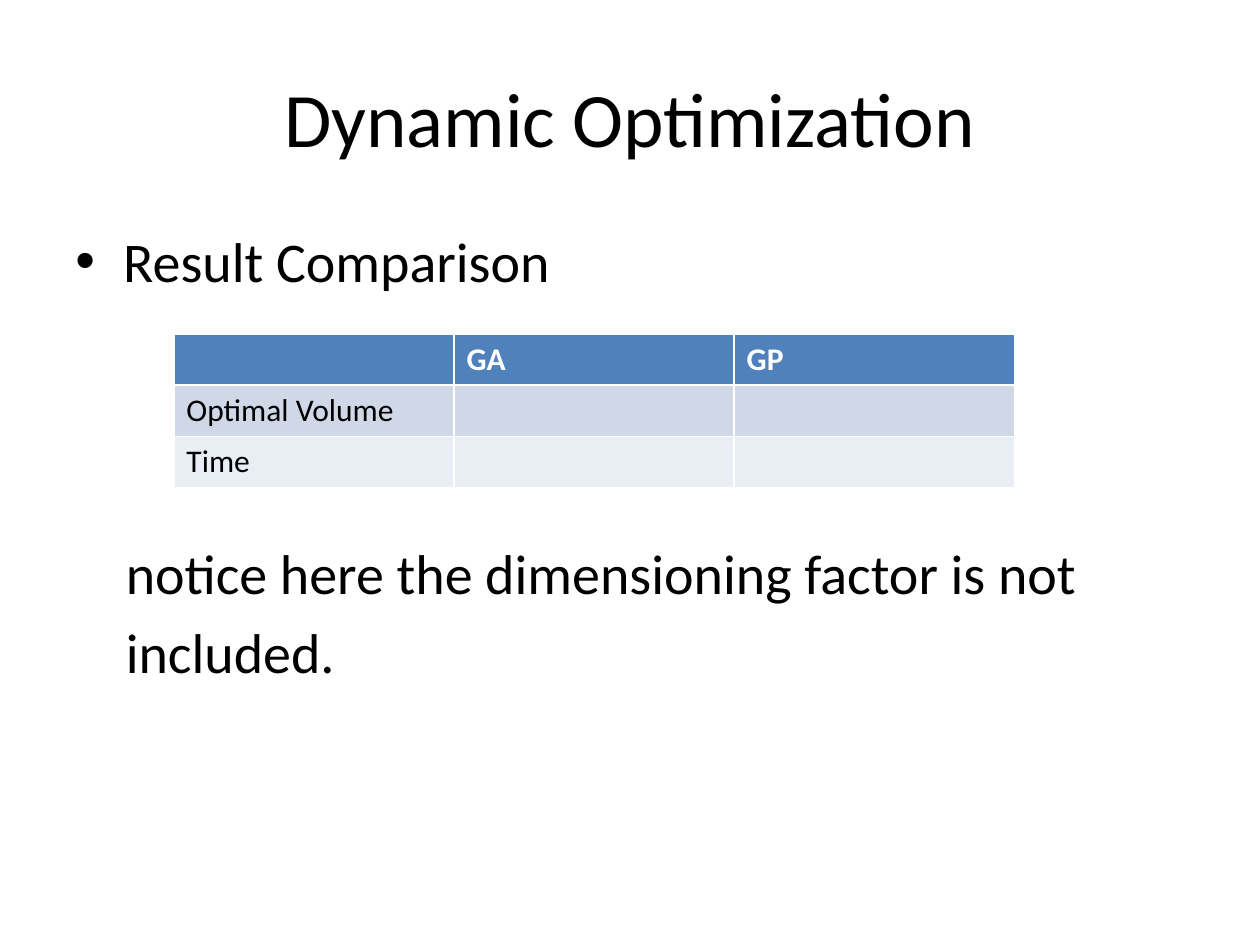
import pptx
import pptx.util
import pptx.dml.color
import pptx.enum.text
from lxml import etree
from pptx.oxml.ns import qn

Inches, Pt = pptx.util.Inches, pptx.util.Pt
RGBColor = pptx.dml.color.RGBColor
Align = pptx.enum.text.PP_ALIGN
Anchor = pptx.enum.text.MSO_ANCHOR

BLACK = RGBColor(0x00, 0x00, 0x00)
WHITE = RGBColor(0xFF, 0xFF, 0xFF)
ROW_FILLS = [RGBColor(0x4F, 0x81, 0xBD), RGBColor(0xD0, 0xD8, 0xE8), RGBColor(0xE9, 0xED, 0xF4)]
FONT = "Calibri"

TITLE = "Dynamic Optimization"
BULLET = "Result Comparison"
NOTES = [
    ("notice here the dimensioning factor is not", 140),
    ("included.", 6.4),
]
RESULTS = [
    ["", "GA", "GP"],
    ["Optimal Volume", "", ""],
    ["Time", "", ""],
]


def style(paragraph, size, color=BLACK, bold=False):
    paragraph.font.name = FONT
    paragraph.font.size = Pt(size)
    paragraph.font.color.rgb = color
    paragraph.font.bold = bold


def add_box(page, left, top, width, height):
    box = page.shapes.add_textbox(Inches(left), Inches(top), Inches(width), Inches(height))
    box.text_frame.word_wrap = True
    return box.text_frame


def set_indent(paragraph, left, first=0):
    properties = paragraph._p.get_or_add_pPr()
    properties.set("marL", str(Inches(left)))
    properties.set("indent", str(Inches(first)))
    return properties


def add_title(page):
    frame = add_box(page, 0.5, 0.3, 9, 1.25)
    frame.vertical_anchor = Anchor.MIDDLE
    para = frame.paragraphs[0]
    para.text = TITLE
    para.alignment = Align.CENTER
    style(para, 44)


def add_body(page):
    frame = add_box(page, 0.5, 1.75, 9, 4.95)
    para = frame.paragraphs[0]
    para.text = BULLET
    style(para, 32)
    properties = set_indent(para, 0.38, -0.38)
    bullet_font = etree.Element(qn("a:buFont"), typeface="Arial")
    bullet = etree.Element(qn("a:buChar"), char="•")
    properties.insert(0, bullet_font)
    bullet_font.addnext(bullet)
    for text, gap in NOTES:
        para = frame.add_paragraph()
        para.text = text
        para.space_before = Pt(gap)
        style(para, 32)
        set_indent(para, 0.4)


def add_results(page):
    rows, columns = len(RESULTS), len(RESULTS[0])
    table = page.shapes.add_table(
        rows, columns, Inches(1.38), Inches(2.65), Inches(6.67), Inches(1.22)
    ).table
    for row, (texts, fill) in enumerate(zip(RESULTS, ROW_FILLS)):
        header = row == 0
        for column, text in enumerate(texts):
            cell = table.cell(row, column)
            cell.text = text
            cell.fill.solid()
            cell.fill.fore_color.rgb = fill
            style(cell.text_frame.paragraphs[0], 18, WHITE if header else BLACK, header)


def main():
    deck = pptx.Presentation()
    deck.slide_width, deck.slide_height = Inches(10), Inches(7.5)
    page = deck.slides.add_slide(deck.slide_layouts[6])
    add_title(page)
    add_body(page)
    add_results(page)
    deck.save("out.pptx")


if __name__ == "__main__":
    main()
